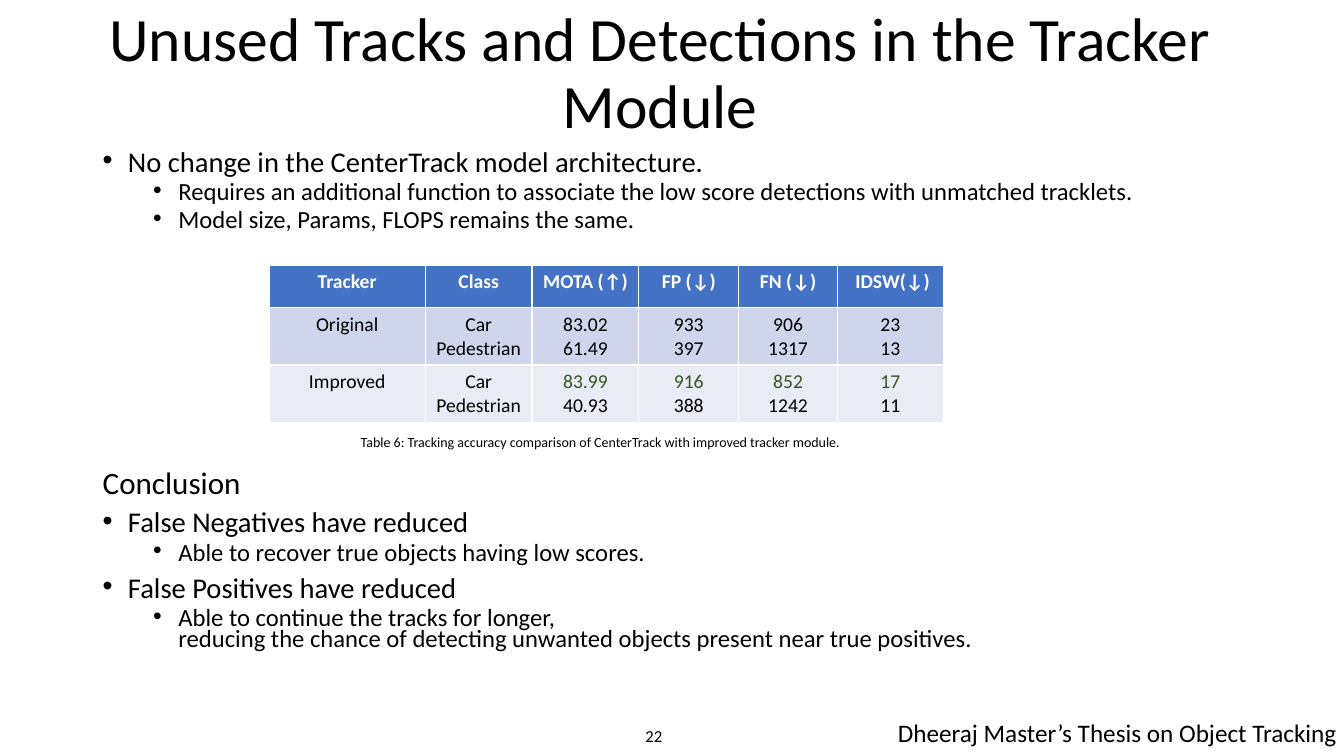
from lxml import etree
from pptx import Presentation
from pptx.enum import text
from pptx.dml.color import RGBColor
from pptx.oxml.ns import qn
from pptx.util import Pt

HUES = {"ink": "000000", "white": "FFFFFF", "head": "4472C4",
        "dark": "CFD5EA", "light": "E9EBF5", "best": "385723"}
ALIGN = text.PP_ALIGN

# text, level (None for a plain heading), size, space before
POINTS = [
    ("No change in the CenterTrack model architecture.", 0, 20.4, 0),
    ("Requires an additional function to associate the low score "
     "detections with unmatched tracklets.", 1, 17.6, 5),
    ("Model size, Params, FLOPS remains the same.", 1, 17.6, 5),
    ("Conclusion", None, 22.2, 172),
    ("False Negatives have reduced", 0, 20.4, 10),
    ("Able to recover true objects having low scores.", 1, 17.6, 5),
    ("False Positives have reduced", 0, 20.4, 10),
    ("Able to continue the tracks for longer, \vreducing the chance of "
     "detecting unwanted objects present near true positives.", 1, 17.6, 5),
]
# In cells, \n starts a paragraph and \v breaks a line
ROWS = [
    ["Tracker", "Class", "MOTA (↑)", "FP (↓)", "FN (↓)", " IDSW(↓)"],
    ["Original", "Car\vPedestrian", "83.02\v61.49", "933\n397",
     "906\n1317", "23\n13"],
    ["Improved", "Car\vPedestrian", "83.99\n40.93", "916\n388",
     "852\n1242", "17\n11"],
]
WIDTHS = [111.6, 76.3, 76.3, 71.3, 70.6, 75.6]
HEIGHTS = [30.3, 41, 41]
FILLS = ["head", "dark", "light"]


def rgb(name):
    return RGBColor.from_string(HUES[name])


def place(shape, left, top, width, height):
    shape.left, shape.top = Pt(left), Pt(top)
    shape.width, shape.height = Pt(width), Pt(height)


def style(para, size, hue="ink", bold=False):
    font = para.font
    font.name, font.size, font.bold = "Calibri", Pt(size), bold
    font.color.rgb = rgb(hue)


def bullet(para, level):
    props = para._p.get_or_add_pPr()
    if level is None:
        props.set("marL", "0")
        props.set("indent", "0")
        etree.SubElement(props, qn("a:buNone"))
        return
    para.level = level
    props.set("marL", str(Pt(18 + 36 * level)))
    props.set("indent", str(Pt(-18)))
    etree.SubElement(props, qn("a:buFont")).set("typeface", "Arial")
    etree.SubElement(props, qn("a:buChar")).set("char", "•")


def add_title(slide):
    title = slide.shapes.title
    place(title, 57.6, 1.4, 828, 104.4)
    frame = title.text_frame
    frame.text = "Unused Tracks and Detections in the Tracker Module"
    frame.auto_size = text.MSO_AUTO_SIZE.NONE
    frame.vertical_anchor = text.MSO_ANCHOR.MIDDLE
    para = frame.paragraphs[0]
    para.alignment, para.line_spacing = ALIGN.CENTER, 0.9
    style(para, 44)


def add_points(slide):
    body = slide.placeholders[1]
    place(body, 66.2, 105.8, 828, 390.2)
    frame = body.text_frame
    frame.text = "\n".join(words for words, *_ in POINTS)
    frame.auto_size = text.MSO_AUTO_SIZE.NONE
    for para, (_, level, size, gap) in zip(frame.paragraphs, POINTS):
        para.line_spacing, para.space_before = 0.7, Pt(gap)
        bullet(para, level)
        style(para, size)


def add_scores(slide):
    frame = slide.shapes.add_table(
        len(ROWS), len(WIDTHS), Pt(192.2), Pt(189.4),
        Pt(sum(WIDTHS)), Pt(sum(HEIGHTS)))
    table = frame.table
    for col, width in zip(table.columns, WIDTHS):
        col.width = Pt(width)
    for row, height, values, fill in zip(table.rows, HEIGHTS, ROWS, FILLS):
        row.height = Pt(height)
        head = fill == "head"
        for cell, value in zip(row.cells, values):
            cell.text = value
            cell.fill.solid()
            cell.fill.fore_color.rgb = rgb(fill)
            paras = cell.text_frame.paragraphs
            for para in paras:
                para.alignment = ALIGN.CENTER
                style(para, 14, "white" if head else "ink", head)
            if values[0] == "Improved" and len(paras) > 1:
                paras[0].font.color.rgb = rgb("best")


def add_label(slide, words, box, size, align=ALIGN.LEFT, wrap=False):
    shape = slide.shapes.add_textbox(*map(Pt, box))
    frame = shape.text_frame
    frame.text, frame.word_wrap = words, wrap
    frame.vertical_anchor = text.MSO_ANCHOR.MIDDLE
    para = frame.paragraphs[0]
    para.alignment = align
    style(para, size)


def main():
    deck = Presentation()
    deck.slide_width, deck.slide_height = Pt(960), Pt(540)
    slide = deck.slides.add_slide(deck.slide_layouts[1])
    add_title(slide)
    add_points(slide)
    add_label(slide, "22", (443.5, 511.2, 36.7, 28.8), 12, ALIGN.RIGHT, True)
    add_label(slide, "Dheeraj Master’s Thesis on Object Tracking",
              (634.3, 509, 331.2, 29), 18)
    add_scores(slide)
    add_label(slide, "Table 6: Tracking accuracy comparison of CenterTrack "
              "with improved tracker module.", (250.6, 306, 364.3, 19.4), 10)
    deck.save("out.pptx")


if __name__ == "__main__":
    main()
